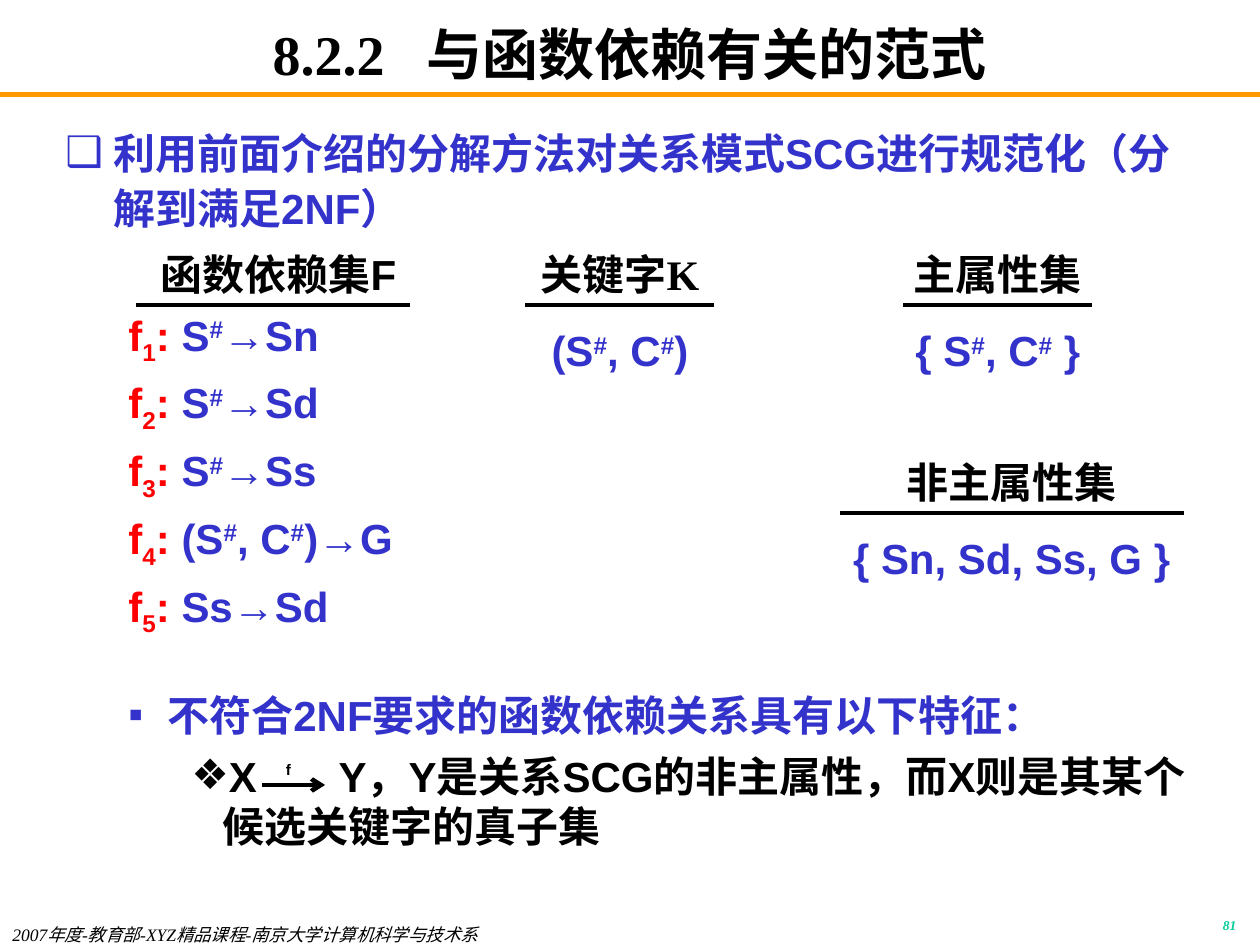
from itertools import chain
from lxml import etree
from pptx import Presentation, util as u
from pptx.dml.color import RGBColor
from pptx.enum import shapes, text
from pptx.oxml.ns import qn

COLORS = {"orange": "FF9900", "green": "00CC99", "black": "000000",
          "blue": "3333CC", "red": "FF0000"}
SANS, SERIF, CJK = "Arial", "Times New Roman", "Noto Sans CJK SC"
LEFT, CENTER, RIGHT = text.PP_ALIGN.LEFT, text.PP_ALIGN.CENTER, text.PP_ALIGN.RIGHT

TITLE = ("8.2.2", "与函数依赖有关的范式")
FOOTER = "2007年度-教育部-XYZ精品课程-南京大学计算机科学与技术系"
PAGE = "81"
GOAL = "利用前面介绍的分解方法对关系模式SCG进行规范化（分解到满足2NF）"
DEPENDENCY_HEADING = "函数依赖集F"
DEPENDENCIES = ["S#→Sn", "S#→Sd", "S#→Ss", "(S#, C#)→G", "Ss→Sd"]
ATTRIBUTE_SETS = [
    ("关键字K", "(S#, C#)", (3.92, 1.92, 2, 1.11), (4.17, 5.67)),
    ("主属性集", "{ S#, C# }", (6.92, 1.92, 2, 1.11), (7.17, 8.67)),
    ("非主属性集", "{ Sn, Sd, Ss, G }", (6.58, 3.57, 2.9, 1.11), (6.67, 9.4)),
]
FEATURE = "不符合2NF要求的函数依赖关系具有以下特征："
FEATURE_DETAIL = ("X", "Y，Y是关系SCG的非主属性，而X则是其某个候选关键字的真子集")
UNDERLINE_DROP = 0.5

presentation = Presentation()
presentation.slide_width, presentation.slide_height = u.Inches(10), u.Inches(7.5)
slide = presentation.slides.add_slide(presentation.slide_layouts[6])


def run(content, color="blue", font=SANS, size=24, bold=True, italic=False,
        baseline=0, gap=0):
    return dict(content=content, color=color, font=font, size=size, bold=bold,
                italic=italic, baseline=baseline, gap=gap)


def attribute_runs(expression):
    parts = [[run(part), run("#", baseline=30)] for part in expression.split("#")]
    return list(chain.from_iterable(parts))[:-1]


def paragraph_of(runs, align=LEFT, before=0, spacing=None, indent=None, bullet=None):
    return dict(runs=runs, align=align, before=before, spacing=spacing,
                indent=indent, bullet=bullet)


def add_run(paragraph, style):
    piece = paragraph.add_run()
    piece.text = style["content"]
    font = piece.font
    font.name, font.size = style["font"], u.Pt(style["size"])
    font.bold, font.italic = style["bold"], style["italic"]
    font.color.rgb = RGBColor.from_string(COLORS[style["color"]])
    properties = piece._r.get_or_add_rPr()
    latin = properties.find(qn("a:latin"))
    east_asian = etree.Element(qn("a:ea"), typeface=CJK)
    latin.addnext(east_asian)
    if style["baseline"]:
        properties.set("baseline", str(style["baseline"] * 1000))
    if style["gap"]:
        properties.set("spc", str(style["gap"] * 100))


def add_text(box, paragraphs, inset=0.05, anchor=text.MSO_ANCHOR.TOP):
    frame = slide.shapes.add_textbox(*map(u.Inches, box)).text_frame
    frame.word_wrap = True
    frame.vertical_anchor = anchor
    frame.margin_left = frame.margin_right = u.Inches(0.1)
    frame.margin_top = frame.margin_bottom = u.Inches(inset)
    for index, item in enumerate(paragraphs):
        paragraph = frame.add_paragraph() if index else frame.paragraphs[0]
        paragraph.alignment = item["align"]
        if item["spacing"]:
            paragraph.line_spacing = item["spacing"]
        if index:
            paragraph.space_before = u.Pt(item["before"])
        properties = paragraph._p.get_or_add_pPr()
        if item["indent"]:
            margin, hanging = item["indent"]
            properties.set("marL", str(u.Inches(margin)))
            properties.set("indent", str(-u.Inches(hanging)))
        if item["bullet"]:
            color = etree.SubElement(properties, qn("a:buClr"))
            etree.SubElement(color, qn("a:srgbClr"), val=COLORS[item["runs"][0]["color"]])
            etree.SubElement(properties, qn("a:buFont"), typeface=SANS)
            etree.SubElement(properties, qn("a:buChar"), char=item["bullet"])
        for style in item["runs"]:
            add_run(paragraph, style)


def add_rule(left, right, top, width=2, color="black", arrow=False):
    rule = slide.shapes.add_connector(
        shapes.MSO_CONNECTOR.STRAIGHT, *map(u.Inches, (left, top, right, top)))
    rule.line.color.rgb = RGBColor.from_string(COLORS[color])
    rule.line.width = u.Pt(width)
    if arrow:
        etree.SubElement(rule.line._get_or_add_ln(), qn("a:tailEnd"), type="arrow")
    etree.SubElement(rule._element.spPr, qn("a:effectLst"))


add_rule(0, 10, 0.75, 3, "orange")
add_text((7.83, 7.25, 2.08, 0.25), [paragraph_of(
    [run(PAGE, "green", SERIF, 7.7, italic=True)], RIGHT, spacing=0.8)])
add_text((0, 7.33, 5.5, 0.17), [paragraph_of(
    [run(FOOTER, "black", SERIF, 10, bold=False, italic=True)])], inset=0)

number, topic = TITLE
add_text((0.75, 0.17, 8.5, 0.5), [paragraph_of(
    [run(number, "black", SERIF, 32), run(" ", "black", SERIF, 32, gap=16),
     run(topic, "black", CJK, 32)], CENTER)],
    inset=0, anchor=text.MSO_ANCHOR.MIDDLE)
add_text((0.42, 0.92, 9.25, 1), [paragraph_of(
    [run(GOAL)], spacing=1.1, indent=(0.38, 0.38), bullet="❑")])

add_rule(2.08, 2.58, 6.23, 2.5, arrow=True)
add_text((2.17, 6.01, 0.25, 0.32), [paragraph_of(
    [run("f", "black", size=15, baseline=30)], spacing=0.8)])
subject, detail = FEATURE_DETAIL
add_text((0.42, 5.42, 9.25, 1.5), [
    paragraph_of([run(FEATURE)], spacing=1.0, indent=(0.81, 0.31), bullet="▪"),
    paragraph_of([run(subject, "black"), run(" ", "black", gap=40), run(detail, "black")],
                 before=6, spacing=1.0, indent=(1.25, 0.25), bullet="❖")])

dependency_paragraphs = [paragraph_of(
    [run(DEPENDENCY_HEADING, "black")], CENTER, spacing=1.0, indent=(0.38, 0.38))]
for index, dependency in enumerate(DEPENDENCIES, 1):
    label = [run("f", "red"), run(str(index), "red", baseline=-25), run(": ", "red")]
    dependency_paragraphs.append(paragraph_of(
        label + attribute_runs(dependency), before=6, spacing=1.0, indent=(0.38, 0.38)))
add_text((0.92, 1.92, 2.58, 3.17), dependency_paragraphs)
add_rule(1.08, 3.25, 1.92 + UNDERLINE_DROP)

for heading, members, box, (start, end) in ATTRIBUTE_SETS:
    add_text(box, [paragraph_of([run(heading, "black", SERIF)], CENTER),
                   paragraph_of(attribute_runs(members), CENTER, before=15)])
    add_rule(start, end, box[1] + UNDERLINE_DROP)

presentation.save("out.pptx")
